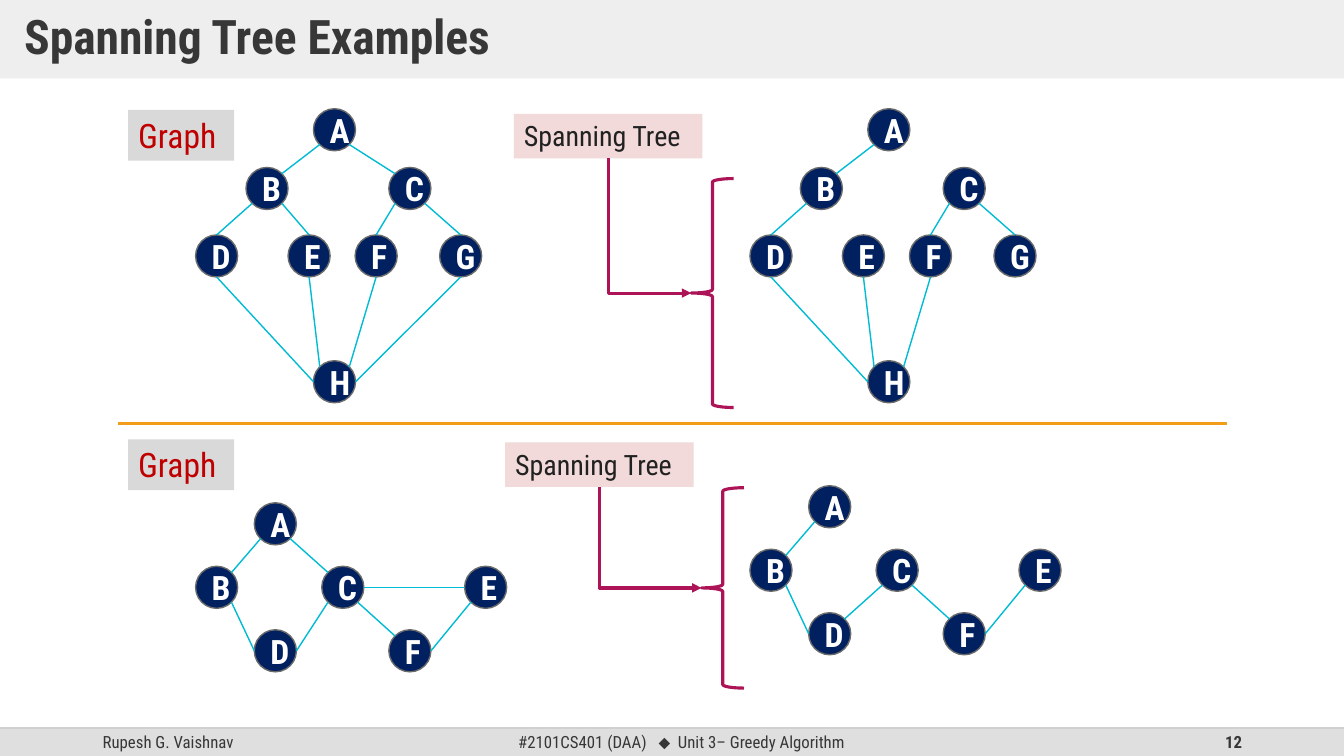
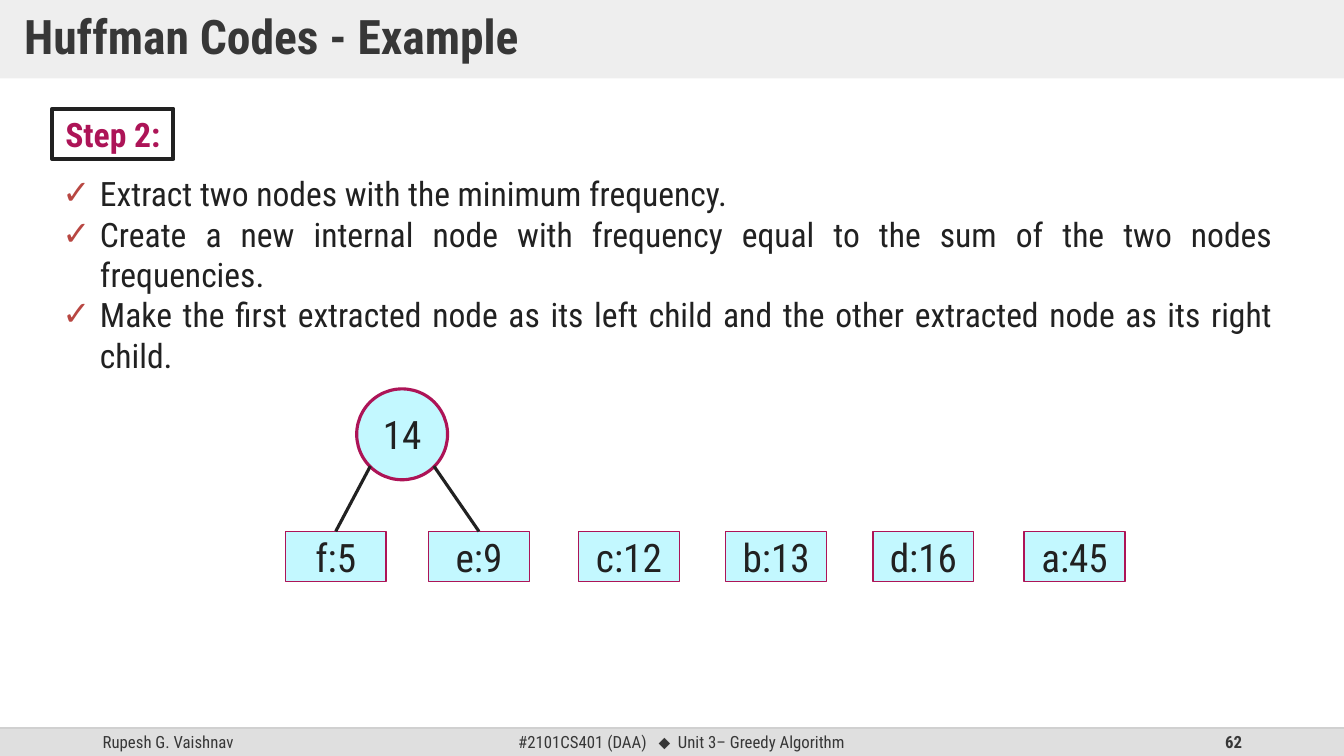
from lxml import etree
from pptx import Presentation
from pptx.dml.color import RGBColor
from pptx.enum.shapes import MSO_CONNECTOR, MSO_SHAPE
from pptx.enum.text import MSO_ANCHOR, PP_ALIGN
from pptx.oxml.ns import qn
from pptx.util import Cm, Pt

RECT, OVAL, BRACE = MSO_SHAPE.RECTANGLE, MSO_SHAPE.OVAL, MSO_SHAPE.LEFT_BRACE
STRAIGHT, ELBOW = MSO_CONNECTOR.STRAIGHT, MSO_CONNECTOR.ELBOW
TOP, MIDDLE = MSO_ANCHOR.TOP, MSO_ANCHOR.MIDDLE
LEFT, CENTER, RIGHT, JUSTIFY = PP_ALIGN.LEFT, PP_ALIGN.CENTER, PP_ALIGN.RIGHT, PP_ALIGN.JUSTIFY
SITE_TOP, SITE_LEFT, SITE_BOTTOM = 0, 1, 2

PAGE_W, PAGE_H = 33.87, 19.05
FOOTER_TOP, FOOTER_H = 18.34, 0.71
NODE = 1.06

COLOURS = {
    "band": "DFDFDF", "heading": "373737", "rule": "BFBFBF", "text": "212121",
    "node": "002060", "node_line": "6B6B6B", "white": "FFFFFF", "edge": "00BBD3",
    "divider": "F19D19", "graph_tag": "D9D9D9", "graph_text": "C00000",
    "tree_tag": "F1DAD9", "accent": "AD1457", "leaf": "C3F8FF", "tick": "B84742",
}

# Text styles: colour name, then font attributes
STYLES = {
    "title": ("heading", {"size": Pt(34), "bold": True}),
    "footer": ("heading", {"size": Pt(12)}),
    "number": ("heading", {"size": Pt(12), "bold": True}),
    "node": ("white", {"size": Pt(24), "bold": True}),
    "graph": ("graph_text", {"size": Pt(24)}),
    "tree": ("text", {"size": Pt(20)}),
    "step": ("accent", {"size": Pt(24), "bold": True}),
    "body": ("text", {"size": Pt(24)}),
    "leaf": ("text", {"size": Pt(28)}),
}

# Points on a circle, as fractions of its width and height
SITES = {"t": (0.5, 0), "l": (0, 0.5), "b": (0.5, 1), "r": (1, 0.5),
         "tl": (0.15, 0.15), "tr": (0.85, 0.15), "bl": (0.15, 0.85), "br": (0.85, 0.85)}

EIGHT_NODES = {"A": (2.97, 0), "B": (1.27, 1.48), "C": (4.87, 1.48), "D": (0, 3.18),
               "E": (2.33, 3.18), "F": (4.02, 3.18), "G": (6.15, 3.18), "H": (2.97, 6.35)}
EIGHT_EDGES = {"AB": ("bl", "tr"), "AC": ("br", "tl"), "BD": ("bl", "t"), "BE": ("br", "t"),
               "CF": ("bl", "t"), "CG": ("br", "t"), "DH": ("b", "l"), "EH": ("b", "tl"),
               "FH": ("b", "tr"), "GH": ("b", "r")}
SIX_NODES = {"A": (1.48, 0), "B": (0, 1.6), "C": (3.18, 1.6),
             "D": (1.48, 3.2), "E": (6.78, 1.6), "F": (4.87, 3.2)}
SIX_EDGES = {"AB": ("bl", "tr"), "AC": ("br", "tl"), "BD": ("br", "l"), "DC": ("r", "bl"),
             "CE": ("r", "l"), "CF": ("br", "tl"), "EF": ("bl", "r")}


def without(edges, *dropped):
    return {pair: sites for pair, sites in edges.items() if pair not in dropped}


# Positions are relative to the left top corner of the example
EXAMPLES = [
    {"top": 2.77, "nodes": EIGHT_NODES, "graph": EIGHT_EDGES,
     "tree": without(EIGHT_EDGES, "AC", "BE", "GH"),
     "graph_at": (1.7, -0.03), "tree_at": (15.67, -0.03),
     "tag_at": (9.72, 0.1), "brace": (14.19, 1.73, 1.07, 5.77)},
    {"top": 11.07, "nodes": SIX_NODES, "graph": SIX_EDGES,
     "tree": without(SIX_EDGES, "AC", "CE") | {"DC": ("tr", "bl")},
     "graph_at": (1.7, 1.6), "tree_at": (15.67, 1.17),
     "tag_at": (9.5, 0.08), "brace": (14.45, 1.22, 1.07, 5.05)},
]

STEPS = [
    "Extract two nodes with the minimum frequency.",
    "Create a new internal node with frequency equal to the sum of the two nodes frequencies.",
    "Make the first extracted node as its left child and the other extracted node as its right child.",
]
LEAVES = {"f:5": 0, "e:9": 3.61, "c:12": 7.39, "b:13": 11.1, "d:16": 14.81, "a:45": 18.62}


def rgb(name):
    return RGBColor.from_string(COLOURS[name])


def set_alpha(fill, percent):
    colour = fill._xPr.find(".//" + qn("a:srgbClr"))
    etree.SubElement(colour, qn("a:alpha")).set("val", str(percent * 1000))


def add_box(page, kind, left, top, width, height, fill=None, line=None, weight=1):
    box = page.shapes.add_shape(kind, Cm(left), Cm(top), Cm(width), Cm(height))
    box.shadow.inherit = False
    if fill:
        box.fill.solid()
        box.fill.fore_color.rgb = rgb(fill)
    else:
        box.fill.background()
    if line:
        box.line.color.rgb = rgb(line)
        box.line.width = Pt(weight)
    else:
        box.line.fill.background()
    return box


def add_span(para, text, style, font="Roboto Condensed"):
    colour, formats = STYLES[style]
    span = para.add_run()
    span.text = text
    for name, value in {"name": font, **formats}.items():
        setattr(span.font, name, value)
    span.font.color.rgb = rgb(colour)


def write(box, text, style, align=CENTER, anchor=MIDDLE):
    frame = box.text_frame
    frame.word_wrap = True
    frame.vertical_anchor = anchor
    para = frame.paragraphs[0]
    para.alignment = align
    add_span(para, text, style)
    return para


def add_line(page, start, end, colour, weight, kind=STRAIGHT):
    line = page.shapes.add_connector(kind, *(Cm(value) for value in (*start, *end)))
    line.line.color.rgb = rgb(colour)
    line.line.width = Pt(weight)
    etree.SubElement(line._element.spPr, qn("a:effectLst"))
    return line


def add_frame(page, title, number):
    """Add the title band and the footer that every slide has."""
    band = add_box(page, RECT, 0, 0, PAGE_W, 1.98, "band")
    set_alpha(band.fill, 50)
    para = write(band, title, "title", LEFT)
    para.line_spacing = 0.9
    margins = {"margin_left": 0.61, "margin_right": 0.61, "margin_top": 0.3, "margin_bottom": 0.3}
    for name, value in margins.items():
        setattr(band.text_frame, name, Cm(value))

    add_box(page, RECT, 0, FOOTER_TOP, PAGE_W, FOOTER_H, "band")
    parts = [(2.34, 7.62, "Rupesh G. Vaishnav", "footer", LEFT),
             (11.23, 11.89, "#2101CS401 (DAA)   ", "footer", CENTER),
             (23.93, 7.62, number, "number", RIGHT)]
    for left, width, text, style, align in parts:
        box = page.shapes.add_textbox(Cm(left), Cm(FOOTER_TOP), Cm(width), Cm(FOOTER_H))
        para = write(box, text, style, align)
        if align == CENTER:
            add_span(para, "⬥", style, "Arial")
            add_span(para, "  Unit 3– Greedy Algorithm", style)
    rule = add_line(page, (0, FOOTER_TOP), (PAGE_W, FOOTER_TOP), "rule", 1)
    set_alpha(rule.line.fill, 70)


def draw_graph(page, left, top, nodes, edges):
    def site(name, key):
        return tuple(start + offset + NODE * part
                     for start, offset, part in zip((left, top), nodes[name], SITES[key]))

    for name, (x, y) in nodes.items():
        write(add_box(page, OVAL, left + x, top + y, NODE, NODE, "node", "node_line"), name, "node")
    for (first, second), (leave, arrive) in edges.items():
        add_line(page, site(first, leave), site(second, arrive), "edge", 1)


def join_down_then_right(page, tag, brace):
    """Run an elbow arrow from the bottom of the tag to the tip of the brace."""
    arrow = add_line(page, (0, 0), (1, 1), "accent", 2.25, ELBOW)
    arrow.begin_connect(tag, SITE_BOTTOM)
    arrow.end_connect(brace, SITE_LEFT)
    across, down = arrow.width, arrow.height
    shift = (across - down) // 2
    turned = {"left": arrow.left + shift, "top": arrow.top - shift, "width": down, "height": across}
    for name, value in turned.items():
        setattr(arrow, name, value)
    properties = arrow._element.spPr
    frame = properties.find(qn("a:xfrm"))
    frame.set("rot", "16200000")
    frame.set("flipH", "1")
    properties.find(qn("a:prstGeom")).set("prst", "bentConnector2")
    etree.SubElement(properties.find(qn("a:ln")), qn("a:tailEnd")).set("type", "triangle")


def draw_example(page, left, example):
    """Draw a graph, its spanning tree, and the labels of both."""
    top = example["top"]
    for part in ("graph", "tree"):
        x, y = example[part + "_at"]
        draw_graph(page, left + x, top + y, example["nodes"], example[part])
    write(add_box(page, RECT, left, top, 2.67, 1.28, "graph_tag"), "Graph", "graph", LEFT, TOP)
    x, y = example["tag_at"]
    tag = add_box(page, RECT, left + x, top + y, 4.75, 1.12, "tree_tag")
    write(tag, "Spanning Tree", "tree", LEFT, TOP)
    x, y, width, height = example["brace"]
    brace = add_box(page, BRACE, left + x, top + y, width, height, None, "accent", 2.25)
    join_down_then_right(page, tag, brace)


def add_ticks(page, left, top, width, height, items):
    box = page.shapes.add_textbox(Cm(left), Cm(top), Cm(width), Cm(height))
    frame = box.text_frame
    frame.word_wrap = True
    for index, item in enumerate(items):
        para = frame.add_paragraph() if index else frame.paragraphs[0]
        para.alignment = JUSTIFY
        properties = para._p.get_or_add_pPr()
        properties.set("marL", str(Cm(0.95)))
        properties.set("indent", str(-Cm(0.95)))
        colour = etree.SubElement(properties, qn("a:buClr"))
        etree.SubElement(colour, qn("a:srgbClr")).set("val", COLOURS["tick"])
        etree.SubElement(properties, qn("a:buFont")).set("typeface", "Arial")
        etree.SubElement(properties, qn("a:buChar")).set("char", "✓")
        add_span(para, item, "body")


def draw_huffman_forest(page, left, top):
    """Draw the row of leaves, the first two joined under their parent."""
    leaves = []
    for text, offset in LEAVES.items():
        leaf = add_box(page, RECT, left + offset, top + 3.59, 2.54, 1.27, "leaf", "accent")
        write(leaf, text, "leaf")
        leaves.append(leaf)
    parent_left, size = left + 1.8, 2.29
    parent = add_box(page, OVAL, parent_left, top, size, size, "leaf", "accent", 2.25)
    write(parent, "14", "leaf")
    for key, leaf in zip(("bl", "br"), leaves):
        x, y = SITES[key]
        start = (parent_left + size * x, top + size * y)
        add_line(page, start, start, "text", 2.25).end_connect(leaf, SITE_TOP)


def spanning_tree_slide(page):
    add_frame(page, "Spanning Tree Examples", "12")
    add_line(page, (2.97, 10.67), (30.91, 10.67), "divider", 2.25)
    for example in EXAMPLES:
        draw_example(page, 3.23, example)


def huffman_slide(page):
    add_frame(page, "Huffman Codes - Example", "62")
    write(add_box(page, RECT, 1.32, 2.74, 3.05, 1.27, None, "text", 3), "Step 2:", "step")
    add_ticks(page, 1.32, 4.24, 31.01, 5.38, STEPS)
    draw_huffman_forest(page, 7.19, 9.8)


def main():
    deck = Presentation()
    deck.slide_width, deck.slide_height = Cm(PAGE_W), Cm(PAGE_H)
    blank = deck.slide_layouts[6]
    for build in (spanning_tree_slide, huffman_slide):
        build(deck.slides.add_slide(blank))
    deck.save("out.pptx")


if __name__ == "__main__":
    main()
